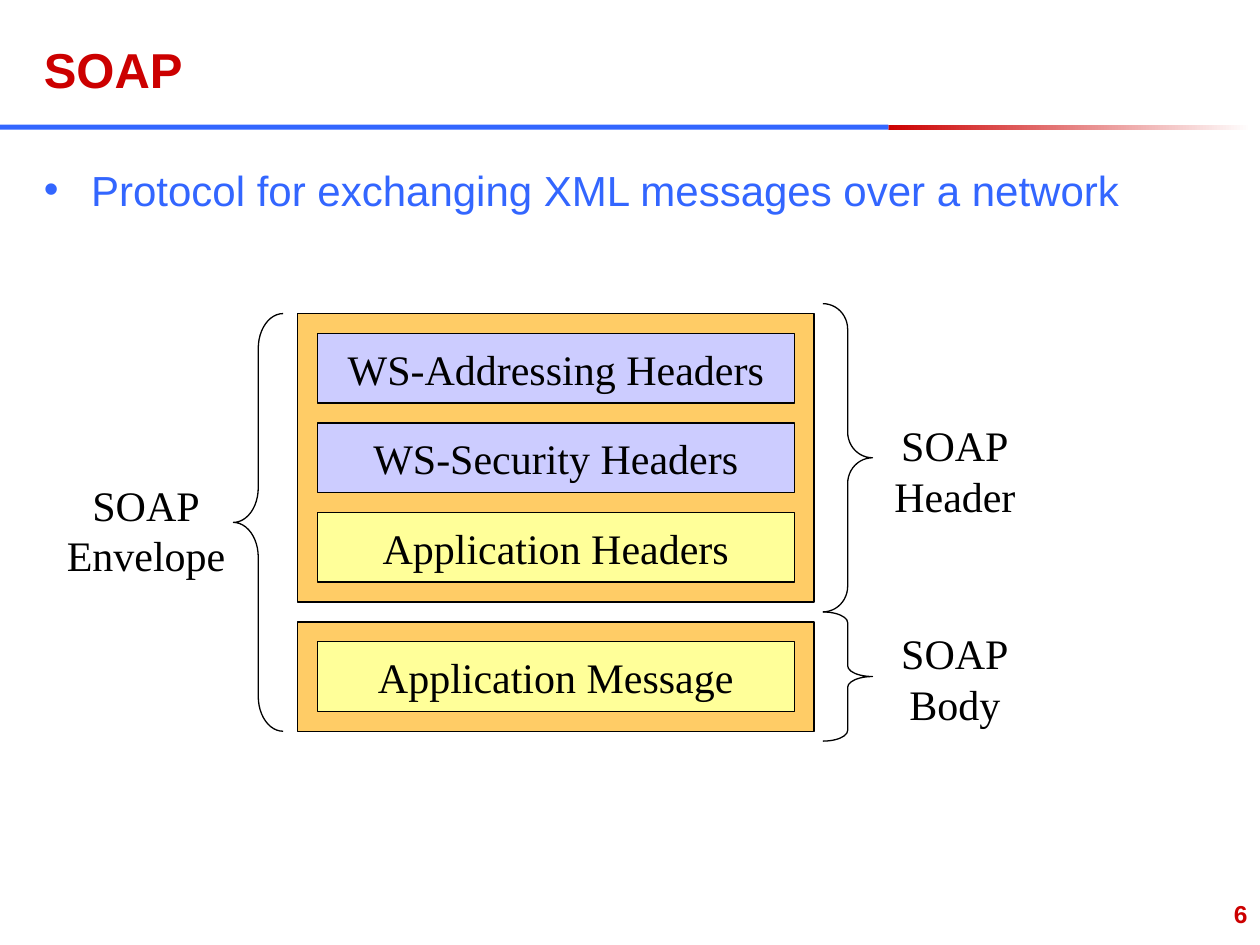
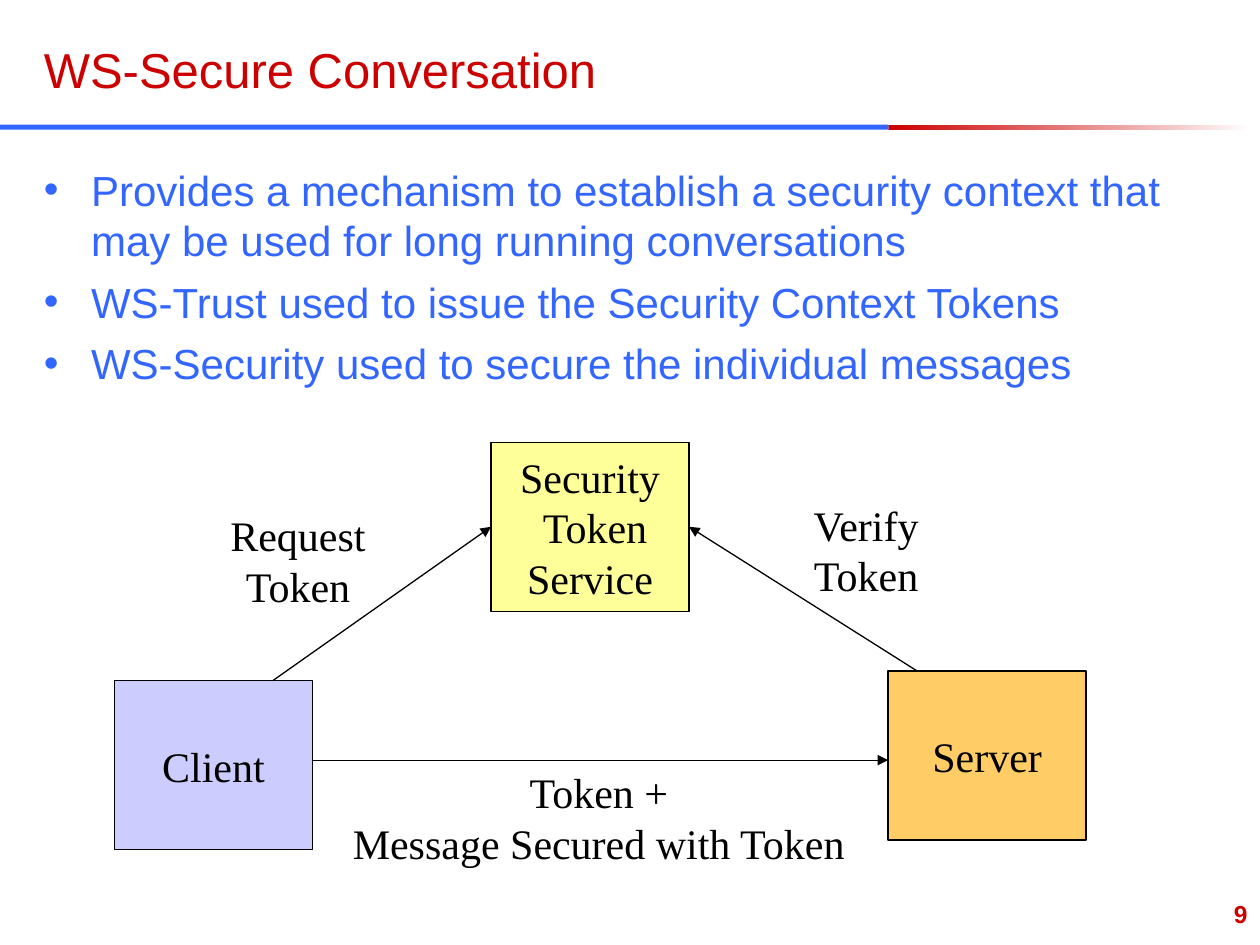
import pptx
import pptx.dml.color
import pptx.enum.shapes
import pptx.enum.text
import pptx.util
from lxml import etree
from pptx.oxml.ns import qn

Pt = pptx.util.Pt
SHAPES = pptx.enum.shapes.MSO_SHAPE
ALIGN = pptx.enum.text.PP_ALIGN
ANCHOR = pptx.enum.text.MSO_ANCHOR

RED, BLUE, BLACK, WHITE = "CC0000", "3366FF", "000000", "FFFFFF"
ORANGE, LILAC, YELLOW = "FFCC66", "CCCCFF", "FFFF99"
HEADING_FONT, DIAGRAM_FONT = "Arial", "Times New Roman"

RULE_TOP, RULE_HEIGHT = 71.3, 2.9
RULE_SPLIT, RULE_END = 507.6, 715
BULLET_INDENT = 27
LINE_WIDTH = 0.75

# The SOAP message: bars in a frame, all separated by the same gap
GAP, BAR_HEIGHT = 11.35, 39.8
FRAME_LEFT, FRAME_WIDTH = 170, 295.2
BRACE_WIDTH = 28.4
NODE_WIDTH, NODE_HEIGHT = 113.2, 96.5


def rgb(hex_code):
    return pptx.dml.color.RGBColor.from_string(hex_code)


def write(shape, text, size, color, font=DIAGRAM_FONT, bold=False,
          align=ALIGN.CENTER, anchor=ANCHOR.TOP, wrap=False):
    """Fill a shape with text, one paragraph per line, in a single style."""
    frame = shape.text_frame
    frame.text = text
    frame.word_wrap = wrap
    frame.vertical_anchor = anchor
    for paragraph in frame.paragraphs:
        paragraph.alignment = align
        paragraph.line_spacing = Pt(round(size * 1.21))
        for run in paragraph.runs:
            run.font.size = Pt(size)
            run.font.name = font
            run.font.bold = bold
            run.font.color.rgb = rgb(color)


def add_text(slide, left, top, width, height, text, size, color, **style):
    box = slide.shapes.add_textbox(Pt(left), Pt(top), Pt(width), Pt(height))
    write(box, text, size, color, **style)
    return box


def add_label(slide, left, top, width, text):
    add_text(slide, left, top, width, 64.8, text, 24, BLACK)


def add_preset(slide, kind, left, top, width, height, fill=None, outlined=True):
    shape = slide.shapes.add_shape(kind, Pt(left), Pt(top), Pt(width), Pt(height))
    shape.shadow.inherit = False
    if fill:
        shape.fill.solid()
        shape.fill.fore_color.rgb = rgb(fill)
    else:
        shape.fill.background()
    if outlined:
        shape.line.color.rgb = rgb(BLACK)
        shape.line.width = Pt(LINE_WIDTH)
    else:
        shape.line.fill.background()
    return shape


def add_box(slide, left, top, width, height, fill, text=""):
    box = add_preset(slide, SHAPES.RECTANGLE, left, top, width, height, fill)
    if text:
        write(box, text, 24, BLACK, anchor=ANCHOR.MIDDLE)
    return box


def add_brace(slide, kind, left, top, bottom):
    """Add a brace whose curves take a twelfth of its height."""
    height = bottom - top
    brace = add_preset(slide, kind, left, top, BRACE_WIDTH, height)
    brace.adjustments[0] = height / BRACE_WIDTH / 12


def add_arrow(slide, start, end):
    arrow = slide.shapes.add_connector(
        pptx.enum.shapes.MSO_CONNECTOR.STRAIGHT, *(Pt(v) for v in start + end))
    arrow.line.color.rgb = rgb(BLACK)
    arrow.line.width = Pt(LINE_WIDTH)
    etree.SubElement(arrow.line._get_or_add_ln(), qn("a:tailEnd"), type="triangle")
    etree.SubElement(arrow._element.spPr, qn("a:effectLst"))
    return arrow


def add_bullets(slide, lines):
    body = add_text(slide, 18, 90, 684, 414, "\n".join(lines), 24, BLUE,
                    font=HEADING_FONT, align=ALIGN.LEFT, wrap=True)
    for paragraph in body.text_frame.paragraphs:
        paragraph.space_before = Pt(6)
        properties = paragraph._p.get_or_add_pPr()
        properties.set("marL", str(Pt(BULLET_INDENT)))
        properties.set("indent", str(-Pt(BULLET_INDENT)))
        bullet_color = etree.SubElement(properties, qn("a:buClr"))
        etree.SubElement(bullet_color, qn("a:srgbClr"), val=BLUE)
        etree.SubElement(properties, qn("a:buFont"), typeface=HEADING_FONT)
        etree.SubElement(properties, qn("a:buChar"), char="•")


def add_slide(deck, title, number, bullets, bold_title=False):
    """Add a slide with the shared rule, title, bullets and page number."""
    slide = deck.slides.add_slide(deck.slide_layouts[6])
    fading = add_preset(slide, SHAPES.RECTANGLE, RULE_SPLIT, RULE_TOP,
                        RULE_END - RULE_SPLIT, RULE_HEIGHT, outlined=False)
    fading.fill.gradient()
    fading.fill.gradient_angle = 0
    for stop, color in zip(fading.fill.gradient_stops, (RED, WHITE)):
        stop.color.rgb = rgb(color)
    add_preset(slide, SHAPES.RECTANGLE, 0, RULE_TOP, RULE_SPLIT, RULE_HEIGHT,
               BLUE, outlined=False)
    add_text(slide, 18, 18, 492, 42, title, 28, RED, font=HEADING_FONT,
             bold=bold_title, align=ALIGN.LEFT, anchor=ANCHOR.MIDDLE, wrap=True)
    add_bullets(slide, bullets)
    add_text(slide, 570, 510, 150, 30, str(number), 14, RED, font=HEADING_FONT,
             bold=True, align=ALIGN.RIGHT, wrap=True)
    return slide


def add_message_part(slide, top, bars):
    """Add a frame holding the bars and return its bottom edge."""
    pitch = BAR_HEIGHT + GAP
    height = len(bars) * pitch + GAP
    add_box(slide, FRAME_LEFT, top, FRAME_WIDTH, height, ORANGE)
    for row, (text, fill) in enumerate(bars):
        add_box(slide, FRAME_LEFT + GAP, top + GAP + row * pitch,
                FRAME_WIDTH - 2 * GAP, BAR_HEIGHT, fill, text)
    return top + height


def build_soap(deck):
    slide = add_slide(deck, "SOAP", 6,
                      ["Protocol for exchanging XML messages over a network"],
                      bold_title=True)
    top = 179.2
    header_bottom = add_message_part(slide, top, [
        ("WS-Addressing Headers", LILAC),
        ("WS-Security Headers", LILAC),
        ("Application Headers", YELLOW)])
    body_bottom = add_message_part(slide, header_bottom + GAP,
                                   [("Application Message", YELLOW)])

    half = GAP / 2
    add_brace(slide, SHAPES.RIGHT_BRACE, 470.2, top - half, header_bottom + half)
    add_brace(slide, SHAPES.RIGHT_BRACE, 470.2, header_bottom + half, body_bottom + half)
    add_brace(slide, SHAPES.LEFT_BRACE, 133.4, top, body_bottom)
    add_label(slide, 493.2, 236.2, 105, "SOAP\nHeader")
    add_label(slide, 493.2, 355, 105, "SOAP\nBody")
    add_label(slide, 31, 270, 105, "SOAP\nEnvelope")


def build_secure_conversation(deck):
    slide = add_slide(deck, "WS-Secure Conversation", 9, [
        "Provides a mechanism to establish a security context that may be used "
        "for long running conversations",
        "WS-Trust used to issue the Security Context Tokens",
        "WS-Security used to secure the individual messages"])
    client_left, client_top = 65.4, 389
    server_left, server_top = 507.5, 383.5
    add_box(slide, client_left, client_top, NODE_WIDTH, NODE_HEIGHT, LILAC, "Client")
    token_service = add_box(slide, 280.6, 252.8, NODE_WIDTH, NODE_HEIGHT, YELLOW,
                            "Security\n Token\nService")
    add_box(slide, server_left, server_top, NODE_WIDTH, NODE_HEIGHT, ORANGE, "Server")

    request = add_arrow(slide, (155.8, client_top), (280.6, 301))
    request.end_connect(token_service, 1)
    verify = add_arrow(slide, (524.2, server_top), (393.8, 301))
    verify.end_connect(token_service, 3)
    message_y = 434.4
    add_arrow(slide, (client_left + NODE_WIDTH, message_y), (server_left, message_y))

    add_label(slide, 121.7, 287.3, 97.2, "Request \nToken")
    add_label(slide, 456.5, 281.5, 77, "Verify\nToken")
    add_label(slide, 193.5, message_y, 297.4, "Token +\nMessage Secured with Token")


def main():
    deck = pptx.Presentation()
    deck.slide_width, deck.slide_height = Pt(720), Pt(540)
    build_soap(deck)
    build_secure_conversation(deck)
    deck.save("out.pptx")


if __name__ == "__main__":
    main()
